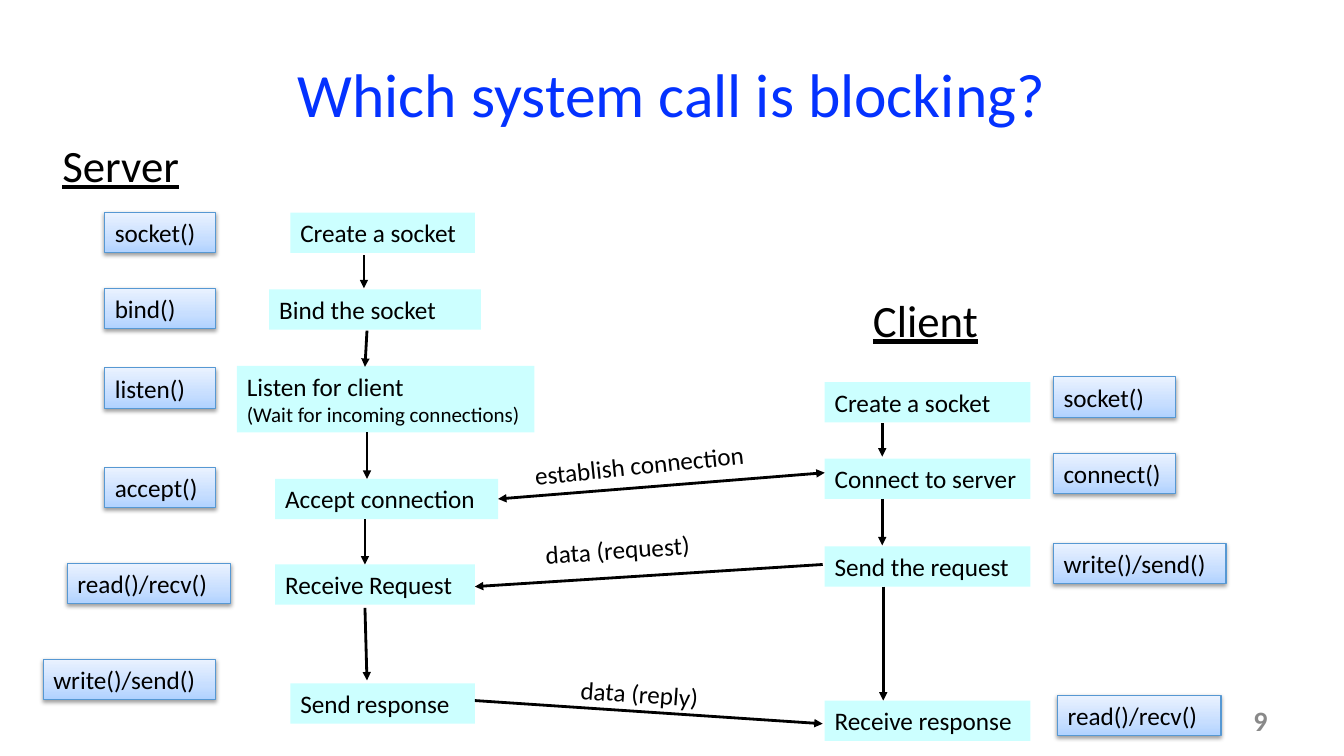
import copy

import pptx
import pptx.dml.color
import pptx.enum.shapes
import pptx.enum.text
import pptx.oxml
import pptx.oxml.ns
import pptx.util

Inches = pptx.util.Inches
RGBColor = pptx.dml.color.RGBColor
PP_ALIGN = pptx.enum.text.PP_ALIGN
MSO_ANCHOR = pptx.enum.text.MSO_ANCHOR
qn = pptx.oxml.ns.qn

BLACK = RGBColor(0x00, 0x00, 0x00)
TITLE_BLUE = RGBColor(0x04, 0x32, 0xFF)
NUMBER_GRAY = RGBColor(0x89, 0x89, 0x89)
STEP_CYAN = RGBColor(0xCC, 0xFF, 0xFF)
CALL_BORDER = RGBColor(0x56, 0x98, 0xD3)
CALL_GRADIENT = [
    (0, RGBColor(0xB0, 0xD2, 0xFF)),
    (0.35, RGBColor(0xC7, 0xDE, 0xFF)),
    (1, RGBColor(0xEA, 0xF2, 0xFF)),
]
A_NS = 'xmlns:a="http://schemas.openxmlformats.org/drawingml/2006/main"'
CALL_SHADOW = (
    f'<a:outerShdw {A_NS} blurRad="39370" dist="20320" dir="5400000" rotWithShape="0">'
    '<a:srgbClr val="000000"><a:alpha val="38000"/></a:srgbClr></a:outerShdw>'
)

BOX_HEIGHT = 0.4
CLIENT_LEFT, CLIENT_WIDTH = 8.18, 2.04

# Steps: left, top, width, text
SERVER_STEPS = [
    (2.88, 2.11, 1.83, "Create a socket"),
    (2.67, 2.87, 2.1, "Bind the socket"),
    (2.73, 4.75, 2.21, "Accept connection"),
    (2.73, 5.6, 1.98, "Receive Request"),
    (2.88, 6.78, 1.83, "Send response"),
]
CLIENT_STEPS = [
    (CLIENT_LEFT, top, CLIENT_WIDTH, text)
    for top, text in [
        (3.79, "Create a socket"),
        (4.55, "Connect to server"),
        (5.42, "Send the request"),
        (6.95, "Receive response"),
    ]
]

# System calls: left, top, width, text
SYSTEM_CALLS = [
    (1.04, 2.11, 1.1, "socket()"),
    (1.04, 2.86, 1.1, "bind()"),
    (1.04, 3.65, 1.1, "listen()"),
    (1.04, 4.64, 1.1, "accept()"),
    (0.67, 5.59, 1.62, "read()/recv()"),
    (0.43, 6.54, 1.71, "write()/send()"),
    (10.45, 3.74, 1.21, "socket()"),
    (10.45, 4.5, 1.21, "connect()"),
    (10.45, 5.39, 1.71, "write()/send()"),
    (10.49, 6.9, 1.62, "read()/recv()"),
]

# Arrows: start x, start y, end x, end y
FLOW_ARROWS = [
    (3.61, 2.53, 3.61, 2.86),
    (3.64, 3.28, 3.62, 3.64),
    (3.64, 4.29, 3.64, 4.75),
    (3.62, 5.15, 3.62, 5.6),
    (3.62, 6.03, 3.64, 6.75),
    (8.75, 4.2, 8.75, 4.53),
    (8.75, 4.95, 8.75, 5.41),
    (8.76, 5.82, 8.76, 6.95),
]
REQUEST_ARROW = (8.16, 5.6, 4.71, 5.82)
REPLY_ARROW = (4.71, 6.95, 8.16, 7.18)
CONNECTION_ARROW = (8.18, 4.69, 4.94, 4.95)

# Message labels: left, top, width, rotation, text
MESSAGES = [
    (5.2, 4.4, 2.5, 354, "establish connection"),
    (5.31, 5.25, 1.66, 356, "data (request)"),
    (5.66, 6.68, 1.39, 4.1, "data (reply)"),
]


def write_text(shape, lines, color=BLACK, align=PP_ALIGN.LEFT,
               anchor=MSO_ANCHOR.TOP, wrap=True, **font_format):
    """Fill a shape with one paragraph per (text, size) line."""
    frame = shape.text_frame
    frame.word_wrap = wrap
    frame.vertical_anchor = anchor
    for index, (text, size) in enumerate(lines):
        paragraph = frame.add_paragraph() if index else frame.paragraphs[0]
        paragraph.alignment = align
        run = paragraph.add_run()
        run.text = text
        run.font.color.rgb = color
        values = {"name": "Calibri", "size": pptx.util.Pt(size), **font_format}
        for name, value in values.items():
            setattr(run.font, name, value)


def add_label(slide, left, top, width, height, text, size, rotation=0, **text_format):
    label = slide.shapes.add_textbox(*map(Inches, (left, top, width, height)))
    label.rotation = rotation
    write_text(label, [(text, size)], **text_format)


def add_box(slide, left, top, width, height, lines):
    box = slide.shapes.add_shape(
        pptx.enum.shapes.MSO_SHAPE.RECTANGLE, *map(Inches, (left, top, width, height)))
    box.shadow.inherit = False
    write_text(box, lines)
    return box


def add_step(slide, left, top, width, lines, height=BOX_HEIGHT):
    step = add_box(slide, left, top, width, height, lines)
    step.fill.solid()
    step.fill.fore_color.rgb = STEP_CYAN
    step.line.fill.background()


def add_system_call(slide, left, top, width, text):
    call = add_box(slide, left, top, width, BOX_HEIGHT, [(text, 18)])
    call.line.color.rgb = CALL_BORDER
    call.line.width = pptx.util.Pt(0.75)
    properties = call._element.spPr

    # Three-stop gradient, darkest at the bottom
    call.fill.gradient()
    call.fill.gradient_angle = 90
    stop_list = properties.find(qn("a:gradFill")).find(qn("a:gsLst"))
    stop_list.append(copy.deepcopy(stop_list[-1]))
    for stop, (position, color) in zip(call.fill.gradient_stops, CALL_GRADIENT):
        stop.position = position
        stop.color.rgb = color

    properties.find(qn("a:effectLst")).append(pptx.oxml.parse_xml(CALL_SHADOW))


def add_arrow(slide, points, ends=("tailEnd",)):
    arrow = slide.shapes.add_connector(
        pptx.enum.shapes.MSO_CONNECTOR.STRAIGHT, *map(Inches, points))
    arrow.line.color.rgb = BLACK
    arrow.line.width = pptx.util.Pt(2)
    for end in ends:
        arrow.line._get_or_add_ln().append(
            pptx.oxml.parse_xml(f'<a:{end} {A_NS} type="triangle"/>'))
    arrow._element.spPr.append(pptx.oxml.parse_xml(f"<a:effectLst {A_NS}/>"))


def main():
    deck = pptx.Presentation()
    deck.slide_width, deck.slide_height = Inches(13.33), Inches(7.5)
    slide = deck.slides.add_slide(deck.slide_layouts[6])

    # Title, slide number and side headings
    add_label(slide, 0, 0.3, 13.33, 1.25, "Which system call is blocking?", 44,
              color=TITLE_BLUE, align=PP_ALIGN.CENTER, anchor=MSO_ANCHOR.MIDDLE)
    add_label(slide, 9.56, 6.95, 3.11, 0.4, "9", 20, color=NUMBER_GRAY,
              align=PP_ALIGN.RIGHT, anchor=MSO_ANCHOR.MIDDLE, bold=True)
    add_label(slide, 0.52, 1.32, 1.37, 0.64, "Server", 32, wrap=False, underline=True)
    add_label(slide, 8.56, 2.85, 1.25, 0.64, "Client", 32, wrap=False, underline=True)

    # Steps on both sides
    for left, top, width, text in SERVER_STEPS + CLIENT_STEPS:
        add_step(slide, left, top, width, [(text, 18)])
    add_step(slide, 2.35, 3.63, 2.95,
             [("Listen for client", 18), ("(Wait for incoming connections)", 15)], height=0.66)

    # Flow and message arrows
    for points in FLOW_ARROWS + [REQUEST_ARROW, REPLY_ARROW]:
        add_arrow(slide, points)
    add_arrow(slide, CONNECTION_ARROW, ends=("headEnd", "tailEnd"))
    for left, top, width, rotation, text in MESSAGES:
        add_label(slide, left, top, width, BOX_HEIGHT, text, 18, rotation)

    # System calls beside the steps
    for call in SYSTEM_CALLS:
        add_system_call(slide, *call)

    deck.save("out.pptx")


if __name__ == "__main__":
    main()
